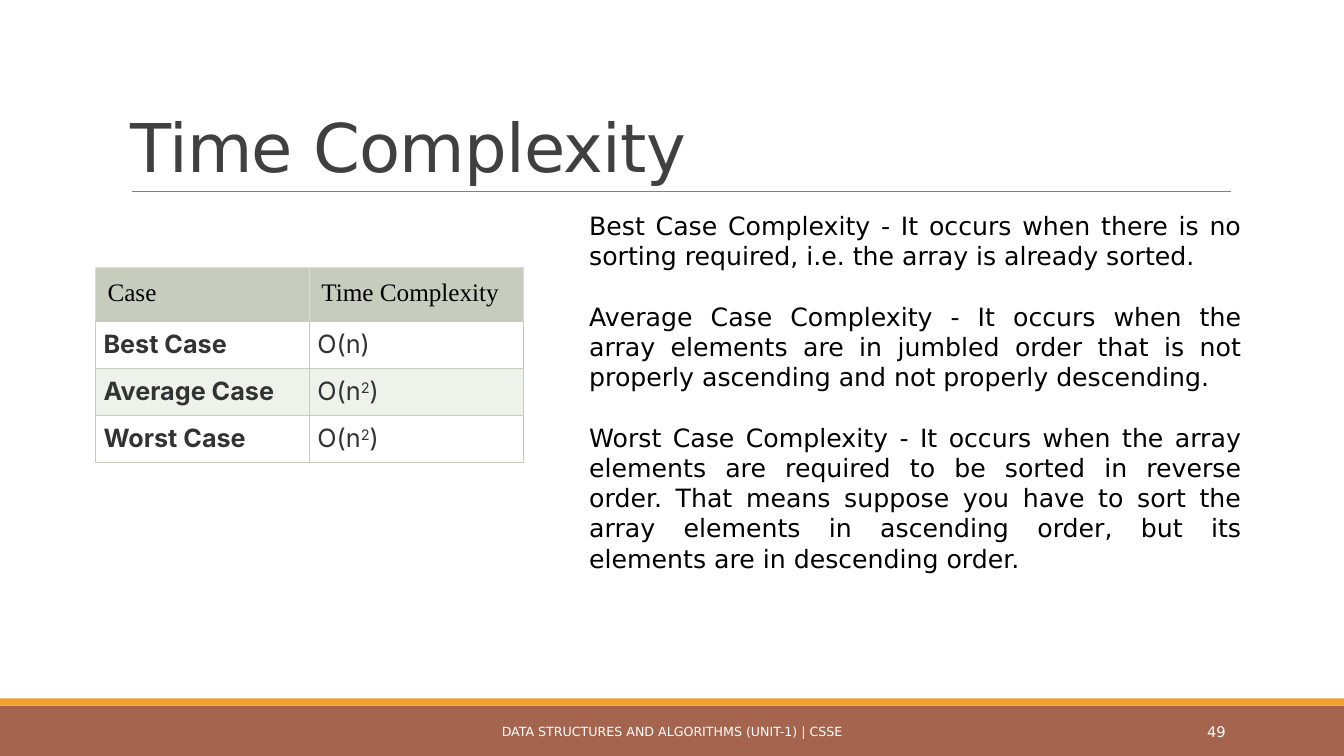
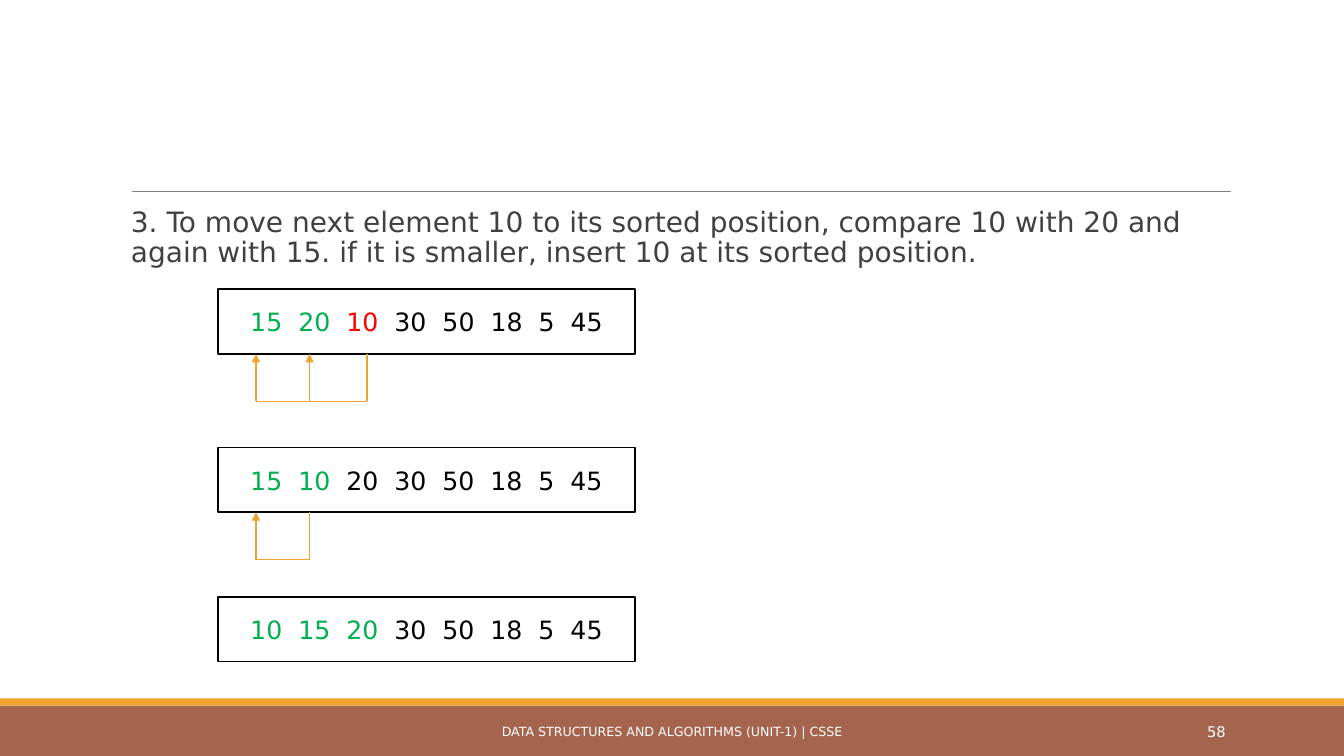
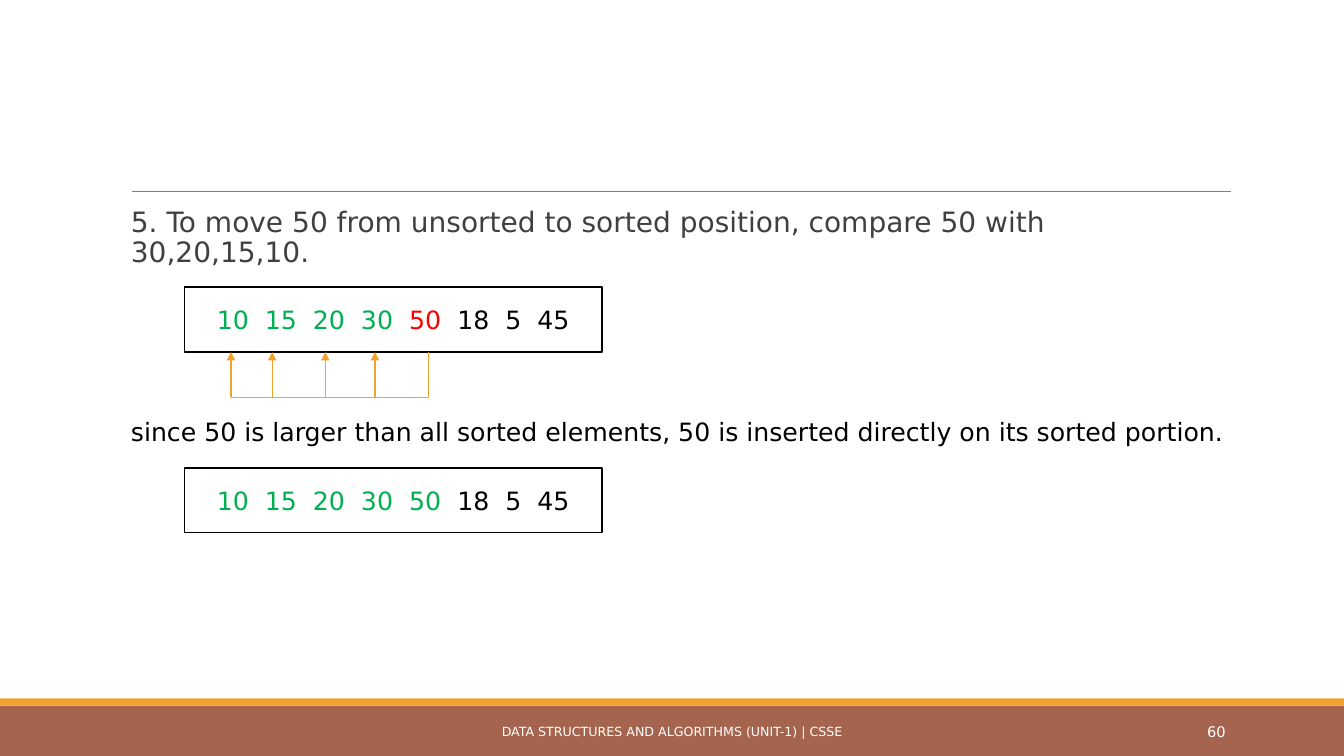
from lxml.etree import SubElement
from pptx import Presentation
from pptx.dml.color import RGBColor
from pptx.enum.shapes import MSO_CONNECTOR, MSO_SHAPE
from pptx.enum.text import MSO_ANCHOR, PP_ALIGN
from pptx.oxml.ns import qn
from pptx.util import Cm, Pt

BLACK = RGBColor(0x00, 0x00, 0x00)
WHITE = RGBColor(0xFF, 0xFF, 0xFF)
DARK = RGBColor(0x40, 0x40, 0x40)
CELL_TEXT = RGBColor(0x33, 0x33, 0x33)
GRAY = RGBColor(0x80, 0x80, 0x80)
BROWN = RGBColor(0xA5, 0x64, 0x4E)
ORANGE = RGBColor(0xF0, 0xA2, 0x2E)
GREEN = RGBColor(0x00, 0xB0, 0x50)
RED = RGBColor(0xFF, 0x00, 0x00)
SAGE = RGBColor(0xC7, 0xCC, 0xBE)
PALE_SAGE = RGBColor(0xEF, 0xF1, 0xEB)
PALE_TEAL = RGBColor(0xD0, 0xE2, 0xDF)

FOOTER = "DATA STRUCTURES AND ALGORITHMS (UNIT-1) | CSSE"
SEPARATOR = "  "
WIDTH, HEIGHT = 33.87, 19.05
ARRAY_WIDTH, ARRAY_HEIGHT = 10.52, 1.63


def add_run(p, text, size=18, color=BLACK, font="DejaVu Sans", bold=False,
            spacing=None, baseline=None):
    r = p.add_run()
    r.text = text
    r.font.size = Pt(size)
    r.font.name = font
    r.font.bold = bold
    r.font.color.rgb = color
    for name, value in (("spc", spacing), ("baseline", baseline)):
        if value is not None:
            r._r.get_or_add_rPr().set(name, str(value))
    return r


class Deck:
    def __init__(self):
        self.prs = Presentation()
        self.prs.slide_width = Cm(WIDTH)
        self.prs.slide_height = Cm(HEIGHT)
        self.s = None

    def slide(self, number):
        self.s = self.prs.slides.add_slide(self.prs.slide_layouts[6])
        self.rect(0, 17.78, WIDTH, 1.27, BROWN)
        self.rect(0, 17.6, WIDTH, 0.18, ORANGE)
        self.line(3.33, 4.83, 31.01, 4.83, GRAY, 0.5)
        for left, width, text, size, align in (
                (10.24, 13.39, FOOTER, 9, PP_ALIGN.CENTER),
                (27.51, 3.63, str(number), 10.5, PP_ALIGN.RIGHT)):
            self.text(left, 17.93, width, 1.02, [text], anchor=MSO_ANCHOR.MIDDLE,
                      align=align, size=size, color=WHITE)

    def rect(self, left, top, width, height, fill, line=None):
        sp = self.s.shapes.add_shape(MSO_SHAPE.RECTANGLE, Cm(left), Cm(top),
                                     Cm(width), Cm(height))
        sp.shadow.inherit = False
        sp.fill.solid()
        sp.fill.fore_color.rgb = fill
        if line is None:
            sp.line.fill.background()
        else:
            sp.line.color.rgb = line
            sp.line.width = Pt(1.25)
        return sp

    def line(self, x1, y1, x2, y2, color=ORANGE, width=1, arrow=False):
        sp = self.s.shapes.add_connector(MSO_CONNECTOR.STRAIGHT, Cm(x1), Cm(y1),
                                         Cm(x2), Cm(y2))
        sp.line.color.rgb = color
        sp.line.width = Pt(width)
        sp_pr = sp.element.spPr
        if arrow:
            SubElement(sp_pr.find(qn("a:ln")), qn("a:tailEnd"), type="triangle")
        SubElement(sp_pr, qn("a:effectLst"))

    def text(self, left, top, width, height, paragraphs, anchor=MSO_ANCHOR.TOP,
             align=PP_ALIGN.LEFT, line_spacing=None, gap=0, **style):
        sp = self.s.shapes.add_textbox(Cm(left), Cm(top), Cm(width), Cm(height))
        tf = sp.text_frame
        tf.word_wrap = True
        tf.vertical_anchor = anchor
        for i, text in enumerate(paragraphs):
            p = tf.add_paragraph() if i else tf.paragraphs[0]
            p.alignment = align
            p.line_spacing = line_spacing
            p.space_before = Pt(gap if i else 0)
            add_run(p, text, **style)

    def title(self, text):
        self.text(3.05, 0.79, 27.94, 4.04, [text], anchor=MSO_ANCHOR.BOTTOM,
                  line_spacing=0.85, size=48, color=DARK, spacing=-50)

    def step(self, text):
        self.text(3.05, 5.13, 28.19, 11.18, [text], line_spacing=0.9, size=20, color=DARK)

    def array(self, left, top, values, done, moving=0):
        sp = self.rect(left, top, ARRAY_WIDTH, ARRAY_HEIGHT, WHITE, BLACK)
        tf = sp.text_frame
        tf.vertical_anchor = MSO_ANCHOR.MIDDLE
        p = tf.paragraphs[0]
        p.alignment = PP_ALIGN.CENTER
        split = done + moving
        for part, color in ((values[:done], GREEN), (values[done:split], RED),
                            (values[split:], BLACK)):
            if part:
                lead = SEPARATOR if p.runs else ""
                add_run(p, lead + SEPARATOR.join(map(str, part)), color=color)

    def comparisons(self, array_top, depth, source, targets):
        top = array_top + ARRAY_HEIGHT
        rail = top + depth
        self.line(source, top, source, rail)
        self.line(source, rail, min(targets), rail)
        for x in targets:
            self.line(x, rail, x, top, arrow=True)

    def table(self, left, top, col_width, row_heights, rows):
        table = self.s.shapes.add_table(
            len(rows), len(rows[0]), Cm(left), Cm(top), Cm(col_width * len(rows[0])),
            Cm(sum(row_heights))).table
        table.first_row = table.horz_banding = False
        for col in table.columns:
            col.width = Cm(col_width)
        for i, row in enumerate(rows):
            table.rows[i].height = Cm(row_heights[i])
            for j, parts in enumerate(row):
                self.cell(table.cell(i, j), parts, header=i == 0, label=j == 0,
                          fill=SAGE if i == 0 else (PALE_SAGE if i % 2 == 0 else WHITE))

    def cell(self, cell, parts, header, label, fill):
        margin = Cm(0.3 if header else 0.2)
        cell.margin_left = cell.margin_right = margin
        cell.margin_top = cell.margin_bottom = margin
        tc_pr = cell._tc.get_or_add_tcPr()
        for side in ("L", "R", "T", "B"):
            color = PALE_TEAL if header and side != "B" else SAGE
            ln = SubElement(tc_pr, qn(f"a:ln{side}"), w=str(Pt(0.75)))
            SubElement(SubElement(ln, qn("a:solidFill")), qn("a:srgbClr"), val=str(color))
        cell.fill.solid()
        cell.fill.fore_color.rgb = fill
        p = cell.text_frame.paragraphs[0]
        p.alignment = PP_ALIGN.LEFT if header else PP_ALIGN.JUSTIFY
        for k, text in enumerate(parts):
            add_run(p, text, font="Times New Roman" if header else "Inter",
                    color=BLACK if header else CELL_TEXT, bold=label and not header,
                    baseline=30000 if k == 1 else None)


def complexity_slide(deck):
    deck.slide(49)
    deck.title("Time Complexity")
    quadratic = ("O(n", "2", ")")
    deck.table(2.41, 6.73, 5.39, [1.35, 1.19, 1.19, 1.19], [
        [("Case",), ("Time Complexity",)],
        [("Best Case",), ("O(n)",)],
        [("Average Case",), quadratic],
        [("Worst Case",), quadratic],
    ])
    deck.text(14.6, 5.18, 16.94, 9.5, [
        "Best Case Complexity - It occurs when there is no sorting required, i.e. the "
        "array is already sorted.",
        "Average Case Complexity - It occurs when the array elements are in jumbled order "
        "that is not properly ascending and not properly descending.",
        "Worst Case Complexity - It occurs when the array elements are required to be "
        "sorted in reverse order. That means suppose you have to sort the array elements "
        "in ascending order, but its elements are in descending order.",
    ], align=PP_ALIGN.JUSTIFY, gap=21.5)


def insert_10_slide(deck):
    deck.slide(58)
    deck.step("3. To move next element 10 to its sorted position, compare 10 with 20 and "
              "again with 15. if it is smaller, insert 10 at its sorted position.")
    left, first, second, third = 5.49, 7.29, 11.28, 15.04
    rest = [30, 50, 18, 5, 45]
    deck.array(left, first, [15, 20, 10] + rest, done=2, moving=1)
    deck.comparisons(first, 1.19, 9.25, [7.8, 6.45])
    deck.array(left, second, [15, 10, 20] + rest, done=2)
    deck.comparisons(second, 1.19, 7.8, [6.45])
    deck.array(left, third, [10, 15, 20] + rest, done=3)


def insert_50_slide(deck):
    deck.slide(60)
    deck.step("5. To move 50 from unsorted to sorted position, compare 50 with 30,20,15,10.")
    left, first, second = 4.65, 7.24, 11.79
    values = [10, 15, 20, 30, 50, 18, 5, 45]
    deck.array(left, first, values, done=4, moving=1)
    deck.comparisons(first, 1.14, 10.8, [9.45, 8.2, 6.86, 5.82])
    deck.text(3.05, 10.36, 30.56, 1.02, [
        "since 50 is larger than all sorted elements, 50 is inserted directly on its "
        "sorted portion."])
    deck.array(left, second, values, done=5)


def main():
    deck = Deck()
    complexity_slide(deck)
    insert_10_slide(deck)
    insert_50_slide(deck)
    deck.prs.save("out.pptx")


if __name__ == "__main__":
    main()
